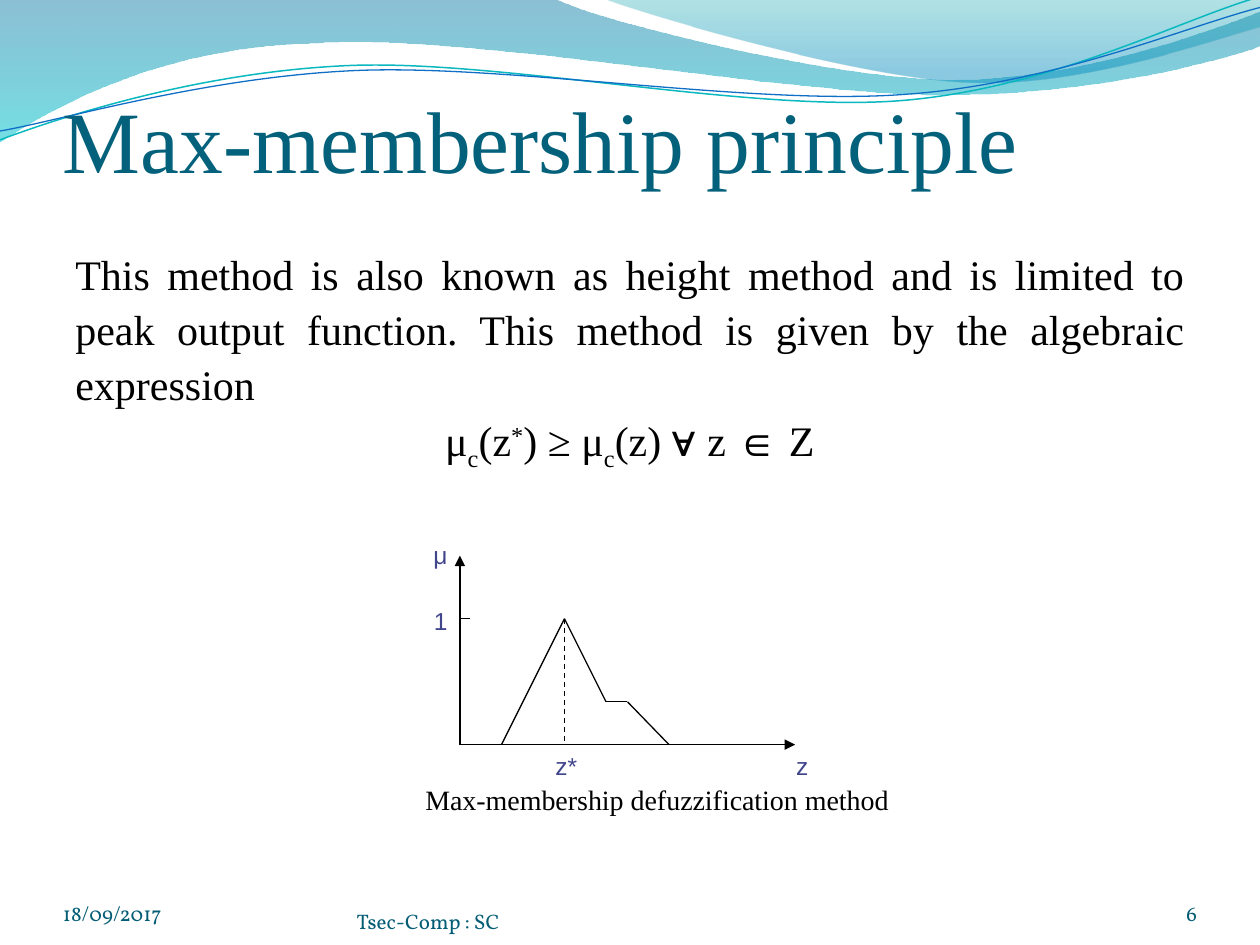
from dataclasses import dataclass
from math import cos, radians, sin

from lxml.etree import SubElement
from pptx import Presentation
from pptx.dml.color import RGBColor
from pptx.enum.dml import MSO_LINE
from pptx.enum.shapes import MSO_CONNECTOR
from pptx.enum.text import MSO_ANCHOR, PP_ALIGN
from pptx.oxml.ns import qn
from pptx.shapes.autoshape import Shape
from pptx.slide import Slide
from pptx.util import Inches, Pt

COLORS = {
    "title": "04617B", "footer": "045D75", "text": "000000", "label": "40458C",
    "blue": "0074A1", "aqua": "00C6CF", "teal": "00A1A9", "sky": "008BBF",
    "green_line": "0AB8BF", "blue_line": "0F6FC6",
}
SERIF, SANS, FOOTER = "Times New Roman", "Arial", "Vollkorn"
TILT = -2.7
Point = tuple[float, float]


@dataclass
class Paragraph:
    runs: list[tuple[str, int]]
    align: PP_ALIGN = PP_ALIGN.LEFT
    spacing: float = 1.0
    before: float = 0


@dataclass
class Label:
    paragraphs: list[Paragraph]
    frame: tuple[float, float, float, float]
    font: str
    size: float
    color: str
    anchor: MSO_ANCHOR = MSO_ANCHOR.TOP
    insets: tuple[float, float, float, float] = (0.1, 0.05, 0.1, 0.05)
    tab: float = 0


@dataclass
class Segment:
    start: Point
    end: Point
    arrow: bool = False
    dashed: bool = False


@dataclass
class Stop:
    position: float
    color: str
    opacity: int


@dataclass
class Wave:
    pieces: list[list[Point]]
    stops: tuple[Stop, ...] = ()
    line_color: str = ""
    line_width: float = 0
    center: Point = (0, 0)
    rotation: float = 0


def rgb(name: str) -> RGBColor:
    return RGBColor.from_string(COLORS[name])


def apply(target: object, values: dict) -> None:
    for name, value in values.items():
        setattr(target, name, value)


def level(point: Point, wave: Wave) -> Point:
    angle = radians(-wave.rotation)
    across, down = point[0] - wave.center[0], point[1] - wave.center[1]
    return (Inches(wave.center[0] + across * cos(angle) - down * sin(angle)),
            Inches(wave.center[1] + across * sin(angle) + down * cos(angle)))


def bend(shape: Shape, pieces: list[list[Point]]) -> None:
    corners = iter(list(shape._element.spPr.iter(qn("a:lnTo"))))
    for piece in pieces:
        group = [next(corners) for _ in piece]
        if len(group) == 3:
            curve = group[0].getparent().makeelement(qn("a:cubicBezTo"))
            group[0].addprevious(curve)
            for corner in group:
                curve.append(corner[0])
                corner.getparent().remove(corner)


def draw_wave(slide: Slide, wave: Wave) -> None:
    points = [level(point, wave) for piece in wave.pieces for point in piece]
    builder = slide.shapes.build_freeform(*points[0])
    builder.add_line_segments(points[1:], close=bool(wave.stops))
    shape = builder.convert_to_shape()
    bend(shape, wave.pieces[1:])
    shape.rotation = wave.rotation
    shape.shadow.inherit = False
    if not wave.stops:
        shape.fill.background()
        shape.line.color.rgb = rgb(wave.line_color)
        shape.line.width = Pt(wave.line_width)
        return
    shape.line.fill.background()
    shape.fill.gradient()
    shape.fill.gradient_angle = 270
    for target, stop in zip(shape.fill.gradient_stops, wave.stops):
        target.position = stop.position
        target.color.rgb = rgb(stop.color)
    for element, stop in zip(shape._element.spPr.iter(qn("a:srgbClr")), wave.stops):
        SubElement(element, qn("a:alpha"), val=str(stop.opacity * 1000))


def draw_segment(slide: Slide, segment: Segment) -> None:
    ends = [Inches(value) for value in (*segment.start, *segment.end)]
    connector = slide.shapes.add_connector(MSO_CONNECTOR.STRAIGHT, *ends)
    connector.line.color.rgb = rgb("text")
    connector.line.width = Pt(0.75)
    if segment.dashed:
        connector.line.dash_style = MSO_LINE.DASH
    if segment.arrow:
        SubElement(connector.line._get_or_add_ln(), qn("a:tailEnd"), type="triangle")
    SubElement(connector._element.spPr, qn("a:effectLst"))


def draw_label(slide: Slide, label: Label) -> None:
    frame = slide.shapes.add_textbox(*map(Inches, label.frame)).text_frame
    left, top, right, bottom = map(Inches, label.insets)
    apply(frame, {
        "word_wrap": True, "vertical_anchor": label.anchor, "margin_left": left,
        "margin_top": top, "margin_right": right, "margin_bottom": bottom})
    for index, paragraph in enumerate(label.paragraphs):
        para = frame.add_paragraph() if index else frame.paragraphs[0]
        apply(para, {"alignment": paragraph.align, "line_spacing": paragraph.spacing,
                     "space_before": Pt(paragraph.before)})
        if label.tab:
            tabs = SubElement(para._p.get_or_add_pPr(), qn("a:tabLst"))
            SubElement(tabs, qn("a:tab"), pos=str(Inches(label.tab)), algn="l")
        for text, baseline in paragraph.runs:
            span = para.add_run()
            span.text = text
            apply(span.font, {"name": label.font, "size": Pt(label.size)})
            span.font.color.rgb = rgb(label.color)
            if baseline:
                span._r.get_or_add_rPr().set("baseline", str(baseline * 1000))


def footer(text: str, left: float, top: float, width: float,
           align: PP_ALIGN = PP_ALIGN.LEFT) -> Label:
    return Label([Paragraph([(text, 0)], align)], (left, top, width, 0.4), FOOTER, 12,
                 "footer", MSO_ANCHOR.BOTTOM, (0, 0, 0, 0))


WAVES = [
    Wave([[(0, 0)], [(4.4, -0.01)], [(4.76, 0.17), (6.64, 0.63), (7.58, 0.63)],
          [(8.53, 0.63), (9.58, 0.26), (10, 0.09)], [(10.01, 0.36)],
          [(9.83, 0.44), (8.7, 0.76), (7.46, 0.75)],
          [(6.22, 0.75), (3.82, 0.28), (2.57, 0.34)],
          [(1.29, 0.36), (0.46, 0.83), (-0.01, 1.13)]],
         (Stop(0, "blue", 45), Stop(1, "aqua", 55))),
    Wave([[(4.79, -0.01)], [(5.09, 0.11), (6.82, 0.62), (7.69, 0.65)],
          [(8.56, 0.69), (9.61, 0.32), (10, 0.21)], [(10, 0)]],
         (Stop(0, "teal", 30), Stop(0.8, "sky", 45))),
    Wave([[(0, 1.11)], [(0.48, 0.93), (1.58, 0.57), (2.77, 0.52)],
          [(3.95, 0.47), (5.93, 0.89), (7.13, 0.8)],
          [(8.33, 0.71), (9.38, 0.15), (9.98, -0.02)]],
         (), "green_line", 0.85, (4.99, 0.58), TILT),
    Wave([[(0, 1.04)], [(0.47, 0.96), (1.64, 0.61), (2.83, 0.56)],
          [(4.03, 0.51), (5.97, 0.84), (7.17, 0.75)],
          [(8.36, 0.67), (9.41, 0.21), (10, 0.06)]],
         (), "blue_line", 0.75, (5, 0.59), TILT),
]
ORIGIN, PEAK, BASE = (3.65, 5.91), (4.48, 4.91), 5.91
MEMBERSHIP = [(3.98, BASE), PEAK, (4.81, 5.57), (4.98, 5.57), (5.31, BASE)]
SEGMENTS = [
    Segment(ORIGIN, (3.65, 4.41), arrow=True),
    Segment(ORIGIN, (6.31, BASE), arrow=True),
    *(Segment(start, end) for start, end in zip(MEMBERSHIP, MEMBERSHIP[1:])),
    Segment(PEAK, (PEAK[0], BASE), dashed=True),
    Segment((3.65, 4.91), (3.73, 4.91)),
]
STATEMENT = ("This method is also known as height method and is limited to peak output "
             "function. This method is given by the algebraic expression")
FORMULA = [("μ", 0), ("c", -25), ("(z", 0), ("*", 30), (") ≥ μ", 0), ("c", -25),
           ("(z) ∀ z ∈ Z", 0)]
TEXTS = [
    Label([Paragraph([("Max-membership principle", 0)])], (0.5, 0.61, 9, 0.91), SERIF, 50,
          "title", MSO_ANCHOR.BOTTOM, (0, 0.05, 0, 0)),
    Label([Paragraph([("Max-membership defuzzification method", 0)], PP_ALIGN.CENTER)],
          (0.5, 1.88, 9, 5.04), SERIF, 16, "text", MSO_ANCHOR.BOTTOM,
          (0.53, 0.05, 0.1, 0.44)),
    footer("18/09/2017", 0.5, 6.95, 2.33),
    footer("Tsec-Comp : SC", 2.83, 7.01, 2.87),
    footer("6", 8.67, 6.95, 0.83, PP_ALIGN.RIGHT),
    Label([Paragraph([(STATEMENT, 0)], PP_ALIGN.JUSTIFY, 1.1),
           Paragraph(FORMULA, PP_ALIGN.CENTER, 1.1)],
          (0.5, 1.88, 9, 4.54), SERIF, 24, "text"),
]
AXIS_LABELS = [
    Label([Paragraph([("z*\tz", 0)])], (4.31, BASE, 2.42, 0.33), SANS, 14, "label", tab=1.91),
    Label([Paragraph([("μ", 0)], PP_ALIGN.RIGHT),
           Paragraph([("1", 0)], PP_ALIGN.RIGHT, 1.8, 7)],
          (3.15, 4.24, 0.5, 0.87), SANS, 14, "label"),
]


def main() -> None:
    deck = Presentation()
    apply(deck, {"slide_width": Inches(10), "slide_height": Inches(7.5)})
    slide = deck.slides.add_slide(deck.slide_layouts[6])
    for wave in WAVES:
        draw_wave(slide, wave)
    for label in TEXTS:
        draw_label(slide, label)
    for segment in SEGMENTS:
        draw_segment(slide, segment)
    for label in AXIS_LABELS:
        draw_label(slide, label)
    deck.save("out.pptx")


if __name__ == "__main__":
    main()
